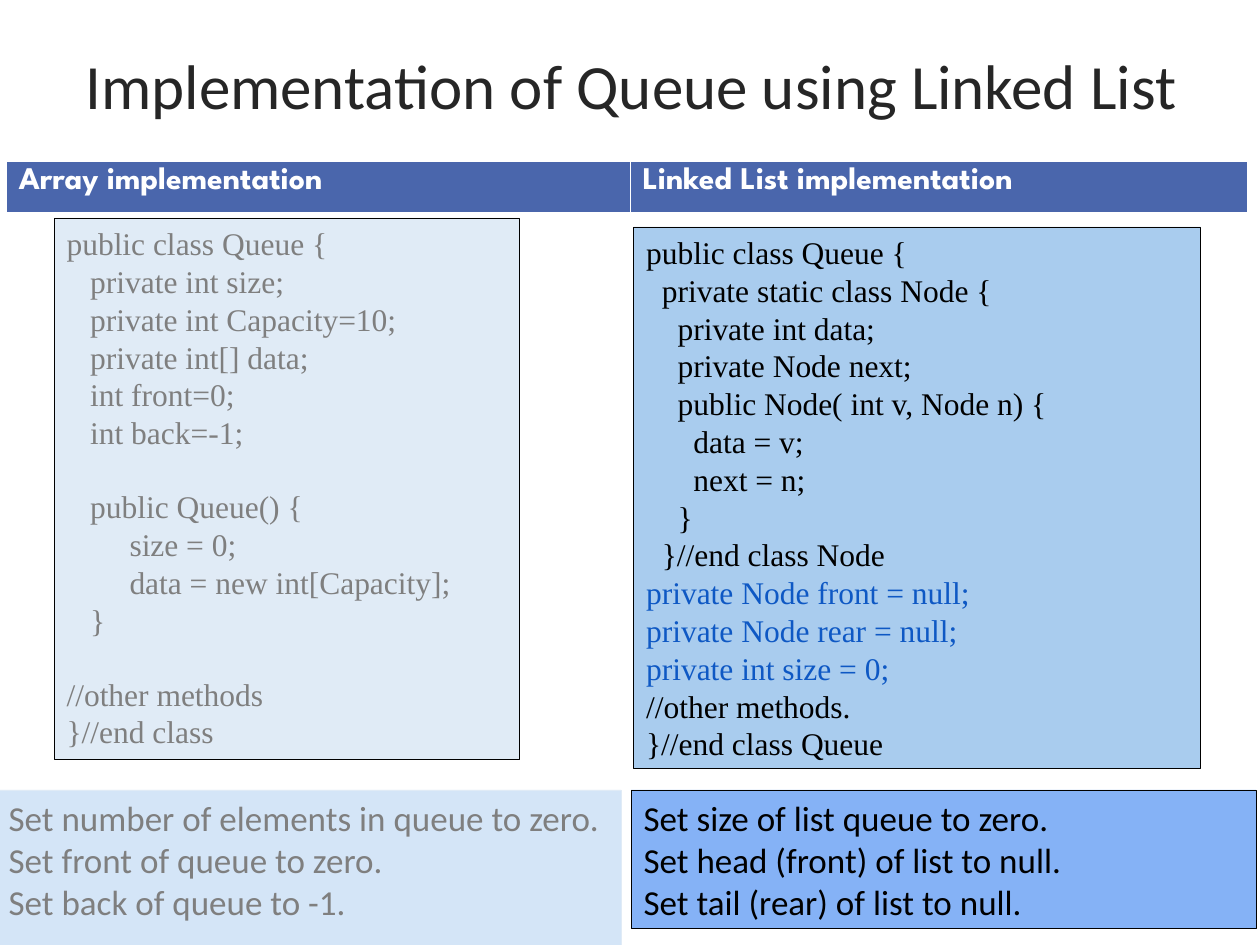
from dataclasses import dataclass

from lxml.etree import SubElement
from pptx import Presentation
from pptx.dml.color import RGBColor
from pptx.enum.shapes import MSO_SHAPE
from pptx.enum.text import MSO_ANCHOR, MSO_AUTO_SIZE, PP_ALIGN
from pptx.oxml.ns import qn
from pptx.util import Inches, Pt


@dataclass(frozen=True)
class Theme:
    title_font: str = "Calibri"
    note_font: str = "Calibri"
    code_font: str = "Times New Roman"
    header_font: str = "League Spartan"
    title_size: int = 36
    note_size: int = 20
    code_size: int = 18
    header_size: int = 18
    code_gap: float = 20.7
    title: str = "262626"
    header: str = "4A66AC"
    white: str = "FFFFFF"
    black: str = "000000"
    muted: str = "7F7F7F"
    accent: str = "0E58C4"
    array_code: str = "E0EBF6"
    array_note: str = "D4E5F7"
    list_code: str = "A9CCEE"
    list_note: str = "85B2F6"


THEME = Theme()

ARRAY_CODE = """public class Queue {
   private int size;
   private int Capacity=10;
   private int[] data;
   int front=0;
   int back=-1;

   public Queue() {
        size = 0;
        data = new int[Capacity];
   }

//other methods
}//end class"""

LIST_CODE = """public class Queue {
  private static class Node {
    private int data;
    private Node next;
    public Node( int v, Node n) {
      data = v;
      next = n;
    }
  }//end class Node
private Node front = null;
private Node rear = null;
private int size = 0;
//other methods.
}//end class Queue"""

ARRAY_NOTE = """Set number of elements in queue to zero.
Set front of queue to zero.
Set back of queue to -1."""

LIST_NOTE = """Set size of list queue to zero.
Set head (front) of list to null.
Set tail (rear) of list to null."""


def rgb(color):
    return RGBColor.from_string(color)


def style_runs(paragraph, font, size, color, bold=False):
    for run in paragraph.runs:
        run.font.name = font
        run.font.size = Pt(size)
        run.font.bold = bold
        run.font.color.rgb = rgb(color)


def add_title(slide, text):
    title = slide.shapes.title
    title.left, title.top = Inches(0.51), Inches(0.28)
    title.width, title.height = Inches(9), Inches(0.95)
    frame = title.text_frame
    frame.text = text
    frame.auto_size = MSO_AUTO_SIZE.NONE
    frame.vertical_anchor = MSO_ANCHOR.TOP
    frame.margin_top = Inches(0.09)
    heading = frame.paragraphs[0]
    heading.alignment = PP_ALIGN.CENTER
    style_runs(heading, THEME.title_font, THEME.title_size, THEME.title)


def add_panel(slide, box, fill, line, text, font, size, color):
    """Add a bordered box; a blank line in text becomes space before the next line."""
    panel = slide.shapes.add_shape(MSO_SHAPE.RECTANGLE, *map(Inches, box))
    panel.shadow.inherit = False
    panel.fill.solid()
    panel.fill.fore_color.rgb = rgb(fill)
    panel.line.color.rgb = rgb(line)
    panel.line.width = Pt(0.25)
    frame = panel.text_frame
    frame.word_wrap = True
    frame.vertical_anchor = MSO_ANCHOR.TOP
    lines = text.split("\n")
    frame.text = "\n".join(filter(None, lines))
    follows_blank = [i > 0 and not lines[i - 1] for i, row in enumerate(lines) if row]
    for paragraph, gap in zip(frame.paragraphs, follows_blank):
        paragraph.alignment = PP_ALIGN.LEFT
        if gap:
            paragraph.space_before = Pt(THEME.code_gap)
        style_runs(paragraph, font, size, color)
    return panel


def add_code(slide, box, fill, text, color):
    return add_panel(slide, box, fill, THEME.black, text,
                     THEME.code_font, THEME.code_size, color)


def add_note(slide, box, fill, line, text, color):
    return add_panel(slide, box, fill, line, text,
                     THEME.note_font, THEME.note_size, color)


def highlight_fields(panel):
    """Colour the unindented field declarations."""
    for paragraph in panel.text_frame.paragraphs:
        if paragraph.text.startswith("private"):
            style_runs(paragraph, THEME.code_font, THEME.code_size, THEME.accent)


def set_borders(cell):
    properties = cell._tc.get_or_add_tcPr()
    widths = {"a:lnL": 0.45, "a:lnR": 0.45, "a:lnT": 0.45, "a:lnB": 1.47}
    for position, (side, width) in enumerate(widths.items()):
        border = SubElement(properties, qn(side), w=str(Pt(width)))
        fill = SubElement(border, qn("a:solidFill"))
        SubElement(fill, qn("a:srgbClr"), val=THEME.white)
        properties.insert(position, border)


def add_headers(slide, labels, widths):
    table = slide.shapes.add_table(
        1, len(labels), Inches(0.05), Inches(1.28),
        Inches(sum(widths)), Inches(0.41)).table
    for column, label in enumerate(labels):
        table.columns[column].width = Inches(widths[column])
        cell = table.cell(0, column)
        cell.text = label
        cell.fill.solid()
        cell.fill.fore_color.rgb = rgb(THEME.header)
        set_borders(cell)
        style_runs(cell.text_frame.paragraphs[0], THEME.header_font,
                   THEME.header_size, THEME.white, bold=True)


def main():
    deck = Presentation()
    deck.slide_width, deck.slide_height = Inches(10), Inches(7.5)
    slide = deck.slides.add_slide(deck.slide_layouts[5])

    add_title(slide, "Implementation of Queue using Linked List")
    add_code(slide, (0.43, 1.73, 3.69, 4.3), THEME.array_code, ARRAY_CODE, THEME.muted)
    add_note(slide, (-0.03, 6.27, 4.96, 1.44), THEME.array_note,
             THEME.array_code, ARRAY_NOTE, THEME.muted)
    list_code = add_code(slide, (5.03, 1.8, 4.5, 4.3), THEME.list_code,
                         LIST_CODE, THEME.black)
    highlight_fields(list_code)
    add_note(slide, (5.01, 6.27, 4.96, 1.1), THEME.list_note,
             THEME.black, LIST_NOTE, THEME.black)
    add_headers(slide, ["Array implementation", "Linked List implementation"],
                [4.95, 4.9])

    deck.save("out.pptx")


if __name__ == "__main__":
    main()
